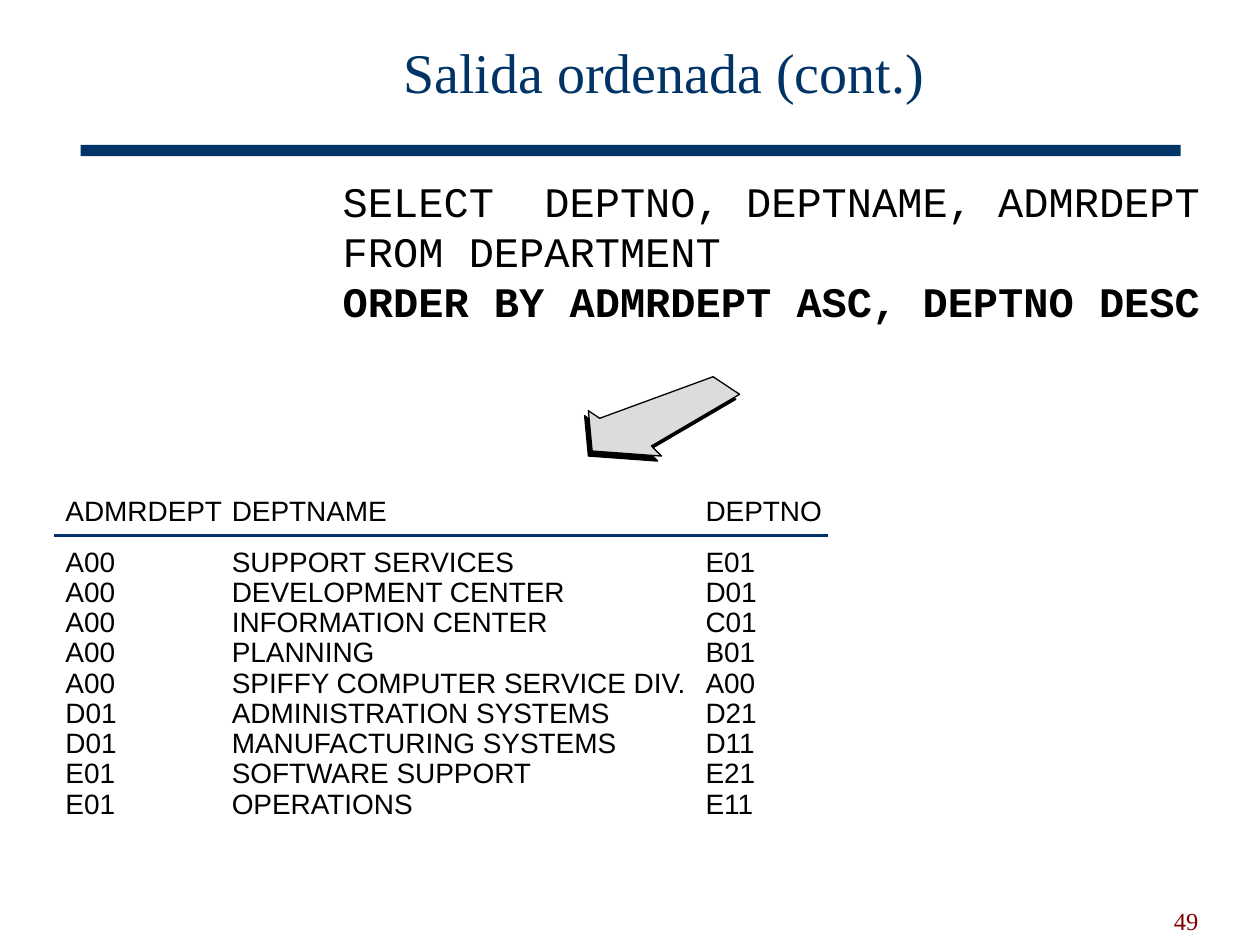
from pptx import Presentation
from pptx.dml.color import RGBColor
from pptx.enum.shapes import MSO_CONNECTOR, MSO_SHAPE
from pptx.enum.text import MSO_ANCHOR, PP_ALIGN
from pptx.oxml.ns import qn
from pptx.util import Inches, Pt
from lxml.etree import SubElement

# Content
TITLE = "Salida ordenada (cont.)"
PAGE = "49"
QUERY = [
    ("SELECT  DEPTNO, DEPTNAME, ADMRDEPT", False),
    ("FROM DEPARTMENT", False),
    ("ORDER BY ADMRDEPT ASC, DEPTNO DESC", True),
]
HEAD = ("ADMRDEPT", "DEPTNAME", "DEPTNO")
ROWS = [
    ("A00", "SUPPORT SERVICES", "E01"),
    ("A00", "DEVELOPMENT CENTER", "D01"),
    ("A00", "INFORMATION CENTER", "C01"),
    ("A00", "PLANNING", "B01"),
    ("A00", "SPIFFY COMPUTER SERVICE DIV.", "A00"),
    ("D01", "ADMINISTRATION SYSTEMS", "D21"),
    ("D01", "MANUFACTURING SYSTEMS", "D11"),
    ("E01", "SOFTWARE SUPPORT", "E21"),
    ("E01", "OPERATIONS", "E11"),
]

# Grid and colours
COLS = [(0.52, 1.3), (1.84, 3.7), (5.6, 1.0)]  # left, width
HEAD_TOP, BODY_TOP, STEP, CELL = 3.92, 4.32, 0.24, 0.27
ARROW = [(5.87, 3.13), (5.66, 2.99), (4.76, 3.32), (4.67, 3.26),
         (4.7, 3.58), (5.25, 3.62), (5.17, 3.54)]
NAVY, BLACK, GREY, RED = "003366", "000000", "DCDCDC", "800000"

deck = Presentation()
deck.slide_width, deck.slide_height = Inches(10), Inches(7.5)
slide = deck.slides.add_slide(deck.slide_layouts[6])
shapes = slide.shapes


def paint(color, hue):
    color.rgb = RGBColor.from_string(hue)


def write(box, lines, font, size, hue=BLACK, align=PP_ALIGN.LEFT,
          anchor=MSO_ANCHOR.TOP, pad=(0, 0), space=None):
    frame = shapes.add_textbox(*map(Inches, box)).text_frame
    frame.word_wrap, frame.vertical_anchor = True, anchor
    frame.margin_left = frame.margin_right = Inches(pad[0])
    frame.margin_top = frame.margin_bottom = Inches(pad[1])
    for i, (text, bold) in enumerate(lines):
        para = frame.add_paragraph() if i else frame.paragraphs[0]
        para.text, para.alignment = text, align
        if space:
            para.line_spacing = space
        para.font.name, para.font.size = font, Pt(size)
        para.font.bold = bold
        paint(para.font.color, hue)


def outline(points, hue, dx=0, dy=0):
    spots = [(Inches(x + dx), Inches(y + dy)) for x, y in points]
    form = shapes.build_freeform(*spots[0])
    form.add_line_segments(spots[1:], close=True)
    shape = form.convert_to_shape()
    shape.shadow.inherit = False
    shape.fill.solid()
    paint(shape.fill.fore_color, hue)
    paint(shape.line.color, BLACK)
    shape.line.width = Pt(0.75)


# Title, bar and page number
bar = shapes.add_shape(MSO_SHAPE.RECTANGLE,
                       *map(Inches, (0.64, 1.15, 8.73, 0.09)))
bar.shadow.inherit = False
bar.fill.solid()
paint(bar.fill.fore_color, NAVY)
bar.line.fill.background()
write((1.23, 0.14, 8.08, 0.94), [(TITLE, False)], "Times New Roman", 32, NAVY,
      PP_ALIGN.CENTER, MSO_ANCHOR.MIDDLE, (0.1, 0.05), 0.85)
write((7.21, 6.97, 2.4, 0.5), [(PAGE, False)], "Times New Roman", 14, RED,
      PP_ALIGN.RIGHT, MSO_ANCHOR.BOTTOM, (0.1, 0.05))

# Query
write((2.72, 1.39, 7.05, 1.2), QUERY, "Courier New", 24, space=Pt(28.8))

# Result columns
tops = [HEAD_TOP] + [BODY_TOP + i * STEP for i in range(len(ROWS))]
for top, row in zip(tops, [HEAD] + ROWS):
    for (left, width), text in zip(COLS, row):
        write((left, top, width, CELL), [(text, False)], "Arial", 16)

# Arrow over its offset shade
outline(ARROW, BLACK, -0.03, 0.04)
outline(ARROW, GREY)

# Rule under the headings
rule = shapes.add_connector(MSO_CONNECTOR.STRAIGHT,
                            *map(Inches, (0.43, 4.25, 6.57, 4.25)))
paint(rule.line.color, NAVY)
rule.line.width = Pt(2.25)
SubElement(rule._element.spPr, qn("a:effectLst"))

deck.save("out.pptx")
